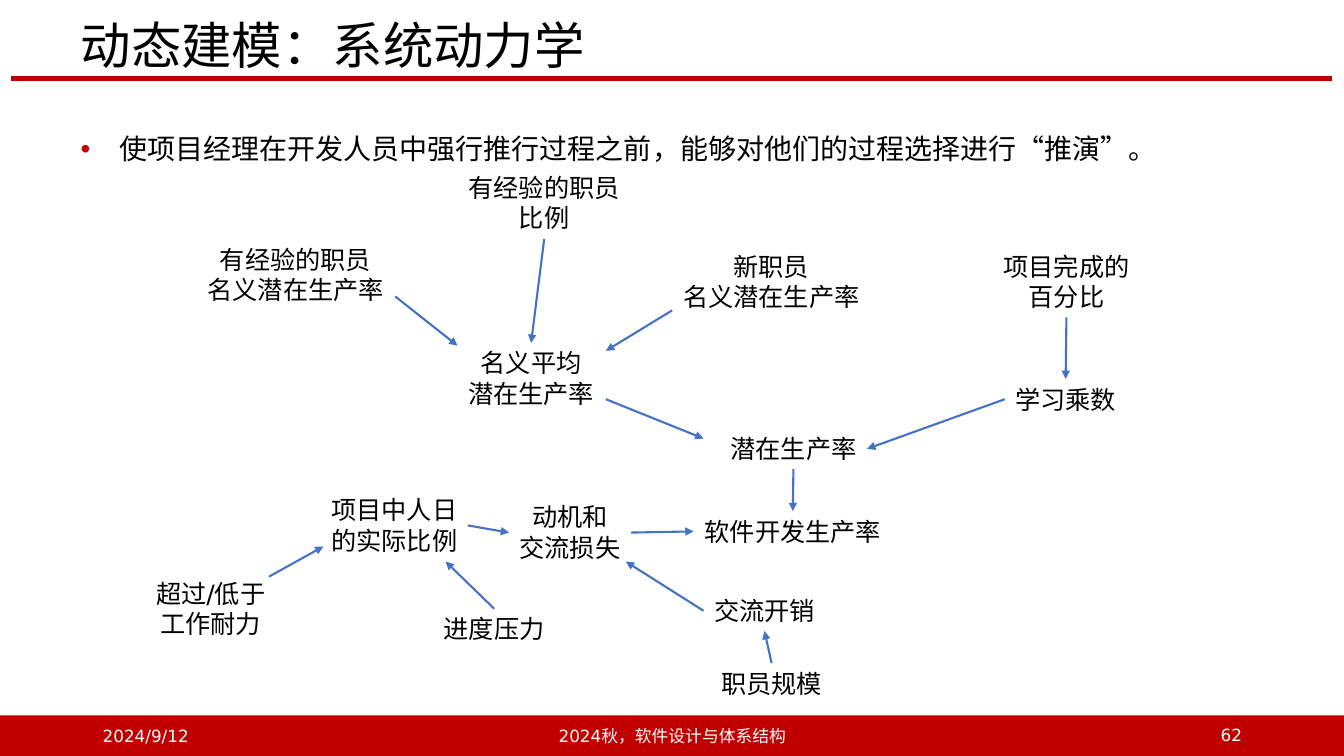
import pptx
import pptx.util
import pptx.dml.color
import pptx.enum.shapes
import pptx.enum.text
import pptx.oxml
import pptx.oxml.ns
from dataclasses import dataclass
from lxml import etree

Cm, Pt = pptx.util.Cm, pptx.util.Pt
ALIGN = pptx.enum.text.PP_ALIGN
ANCHOR = pptx.enum.text.MSO_ANCHOR
FIT = pptx.enum.text.MSO_AUTO_SIZE
STRAIGHT = pptx.enum.shapes.MSO_CONNECTOR.STRAIGHT
TOP, LEFT, BOTTOM, RIGHT = range(4)


@dataclass(frozen=True)
class Theme:
    ink: str = "000000"
    red: str = "C00000"
    white: str = "FFFFFF"
    arrow: str = "4472C4"
    title_font: str = "Noto Sans CJK SC"
    body_font: str = "Arial"
    label_font: str = "DejaVu Sans"
    title_size: int = 36
    body_size: int = 20
    label_size: int = 18
    footer_size: int = 12


def rgb(value):
    return pptx.dml.color.RGBColor.from_string(value)


def apply(target, formats):
    for name, value in formats.items():
        setattr(target, name, value)


def add_xml(parent, tag, **attributes):
    return etree.SubElement(parent, pptx.oxml.ns.qn(tag), attributes)


class SlideBuilder:
    def __init__(self, slide, theme):
        self.slide, self.theme = slide, theme

    def set_text(self, frame, lines, font, size, color, paragraph_format):
        frame.text = "\n".join(lines)
        for paragraph in frame.paragraphs:
            apply(paragraph, paragraph_format)
            for run in paragraph.runs:
                apply(run.font, {"name": font, "size": Pt(size)})
                run.font.color.rgb = rgb(color)
                add_xml(run._r.get_or_add_rPr(), "a:ea", typeface=self.theme.title_font)

    def place(self, shape, left, top, width, height):
        apply(shape, {"left": Cm(left), "top": Cm(top),
                      "width": Cm(width), "height": Cm(height)})

    def title(self, text, *area):
        t, shape = self.theme, self.slide.shapes.title
        self.place(shape, *area)
        apply(shape.text_frame, {"vertical_anchor": ANCHOR.MIDDLE,
                                 "auto_size": FIT.NONE, "word_wrap": True})
        self.set_text(shape.text_frame, [text], t.title_font, t.title_size, t.ink,
                      {"alignment": ALIGN.LEFT, "line_spacing": 0.9})

    def bullet(self, text, *area):
        t, shape = self.theme, self.slide.placeholders[1]
        self.place(shape, *area)
        apply(shape.text_frame, {"vertical_anchor": ANCHOR.TOP,
                                 "auto_size": FIT.SHAPE_TO_FIT_TEXT, "word_wrap": True})
        self.set_text(shape.text_frame, [text], t.body_font, t.body_size, t.ink,
                      {"line_spacing": 1.5, "space_before": Pt(0)})
        properties = shape.text_frame.paragraphs[0]._p.get_or_add_pPr()
        for name, value in {"marL": Cm(0.97), "indent": Cm(-0.97)}.items():
            properties.set(name, str(int(value)))
        add_xml(add_xml(properties, "a:buClr"), "a:srgbClr", val=t.red)
        add_xml(properties, "a:buFont", typeface=t.body_font)
        add_xml(properties, "a:buChar", char="•")

    def factor(self, lines, left, top, width):
        t = self.theme
        height = 1.8 if len(lines) == 2 else 1.02
        box = self.slide.shapes.add_textbox(Cm(left), Cm(top), Cm(width), Cm(height))
        apply(box.text_frame, {"word_wrap": False, "auto_size": FIT.SHAPE_TO_FIT_TEXT})
        self.set_text(box.text_frame, lines, t.label_font, t.label_size, t.ink,
                      {"alignment": ALIGN.CENTER})
        return box

    def footer(self, text, left, top, width, alignment):
        t = self.theme
        box = self.slide.shapes.add_textbox(Cm(left), Cm(top), Cm(width), Cm(1.02))
        apply(box.text_frame, {"word_wrap": True, "vertical_anchor": ANCHOR.MIDDLE})
        self.set_text(box.text_frame, [text], t.label_font, t.footer_size, t.white,
                      {"alignment": alignment})

    def bar(self, left, top, width, height):
        shape = self.slide.shapes.add_shape(
            pptx.enum.shapes.MSO_SHAPE.RECTANGLE, Cm(left), Cm(top), Cm(width), Cm(height))
        shape.shadow.inherit = False
        shape.fill.solid()
        shape.fill.fore_color.rgb = rgb(self.theme.red)
        shape.line.fill.background()

    def line(self, start, end, color, width):
        rule = self.slide.shapes.add_connector(STRAIGHT, *map(Cm, start + end))
        rule.line.color.rgb = rgb(color)
        rule.line.width = Pt(width)
        add_xml(rule._element.spPr, "a:effectLst")
        return rule

    def arrow(self, start, end, factors):
        """Each end is a point in cm or a (factor key, side) pair."""
        ends = (start, end)
        joined = [isinstance(place[0], str) for place in ends]
        points = [(0, 0) if join else place for join, place in zip(joined, ends)]
        link = self.line(*points, self.theme.arrow, 1.5)
        add_xml(link._element.spPr.get_or_add_ln(), "a:tailEnd", type="triangle")
        connects = (link.begin_connect, link.end_connect)
        for join, connect, place in zip(joined, connects, ends):
            if join:
                connect(factors[place[0]], place[1])


# Factors of the model: lines, left, top, width
FACTORS = {
    "experienced": (["有经验的职员", "名义潜在生产率"], 4.95, 6.02, 5),
    "staff ratio": (["有经验的职员", "比例"], 11.53, 4.22, 4.37),
    "new staff": (["新职员", "名义潜在生产率"], 16.94, 6.2, 5),
    "nominal": (["名义平均", "潜在生产率"], 11.53, 8.64, 3.71),
    "completed": (["项目完成的", "百分比"], 25.02, 6.2, 3.71),
    "learning": (["学习乘数"], 25.32, 9.55, 3.07),
    "potential": (["潜在生产率"], 18.14, 10.8, 3.71),
    "development": (["软件开发生产率"], 17.48, 12.88, 5),
    "endurance": (["超过/低于", "工作耐力"], 3.61, 14.45, 3.4),
    "person-days": (["项目中人日", "的实际比例"], 8.08, 12.34, 3.71),
    "losses": (["动机和", "交流损失"], 12.83, 12.52, 3.07),
    "pressure": (["进度压力"], 10.92, 15.34, 3.07),
    "staff size": (["职员规模"], 17.91, 16.71, 3.07),
    "overhead": (["交流开销"], 17.73, 14.88, 3.07),
}

# Influences between the factors
INFLUENCES = [
    ((9.96, 7.47), (11.53, 8.71)),
    (("staff ratio", BOTTOM), ("nominal", TOP)),
    ((16.94, 7.82), (15.27, 8.84)),
    (("completed", BOTTOM), ("learning", TOP)),
    ((15.27, 10.06), (17.73, 11.05)),
    (("learning", LEFT), ("potential", RIGHT)),
    (("potential", BOTTOM), ("development", TOP)),
    ((6.78, 14.53), (8.15, 13.77)),
    (("person-days", RIGHT), ("losses", LEFT)),
    (("losses", RIGHT), ("development", LEFT)),
    (("pressure", TOP), (11.23, 14.15)),
    (("staff size", TOP), ("overhead", BOTTOM)),
    (("overhead", LEFT), (15.77, 14.15)),
]


def main():
    deck = pptx.Presentation()
    apply(deck, {"slide_width": Cm(33.87), "slide_height": Cm(19.05)})
    theme = Theme()
    builder = SlideBuilder(deck.slides.add_slide(deck.slide_layouts[1]), theme)

    # Heading and statement
    builder.line((0.28, 1.98), (33.58, 1.98), theme.red, 3)
    builder.title("动态建模：系统动力学", 1.78, 0.46, 29.74, 1.52)
    builder.bullet("使项目经理在开发人员中强行推行过程之前，能够对他们的过程选择进行“推演”。",
                   1.78, 2.77, 29.74, 1.4)

    # Footer
    builder.bar(0, 18.03, 33.87, 1.02)
    builder.footer("2024/9/12", 2.34, 18.03, 7.62, ALIGN.LEFT)
    builder.footer("2024秋，软件设计与体系结构", 11.23, 18.03, 11.43, ALIGN.CENTER)
    builder.footer("62", 23.93, 18.01, 7.62, ALIGN.RIGHT)

    # Influence diagram
    factors = {key: builder.factor(*values) for key, values in FACTORS.items()}
    for start, end in INFLUENCES:
        builder.arrow(start, end, factors)

    deck.save("out.pptx")


if __name__ == "__main__":
    main()
